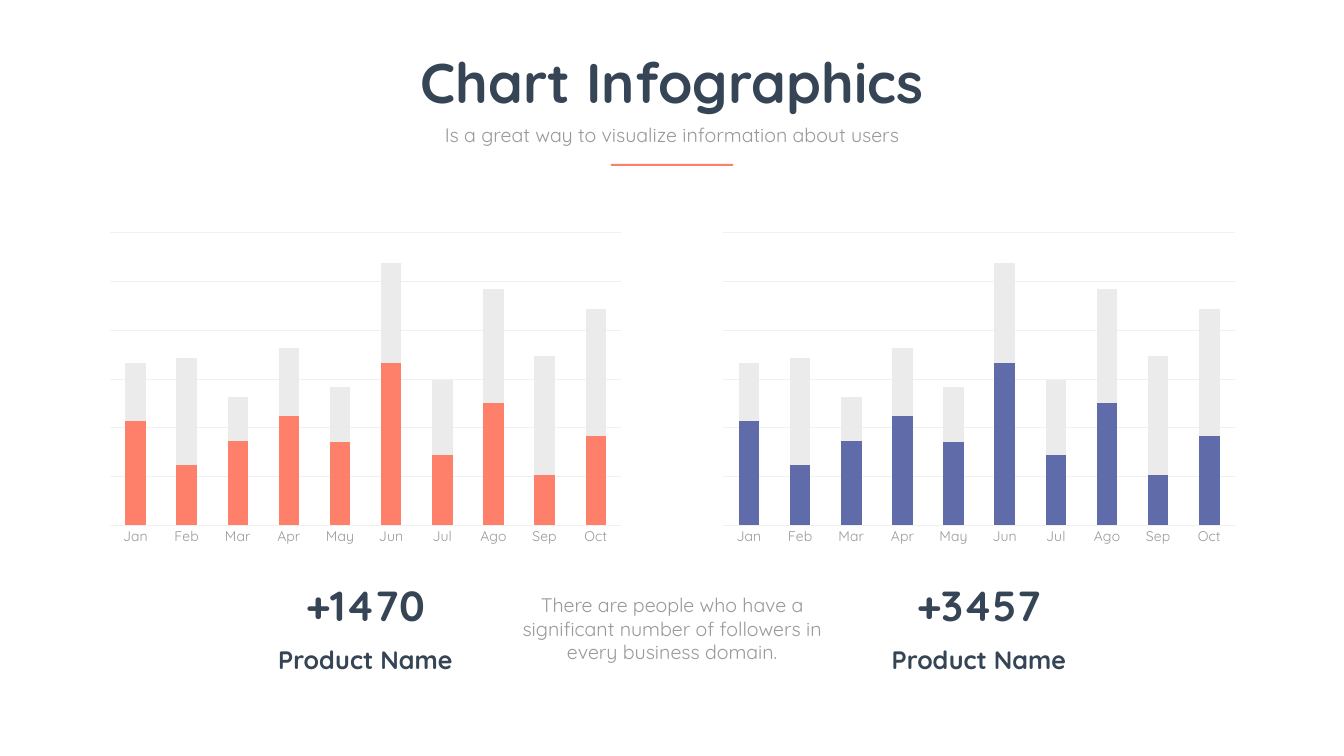
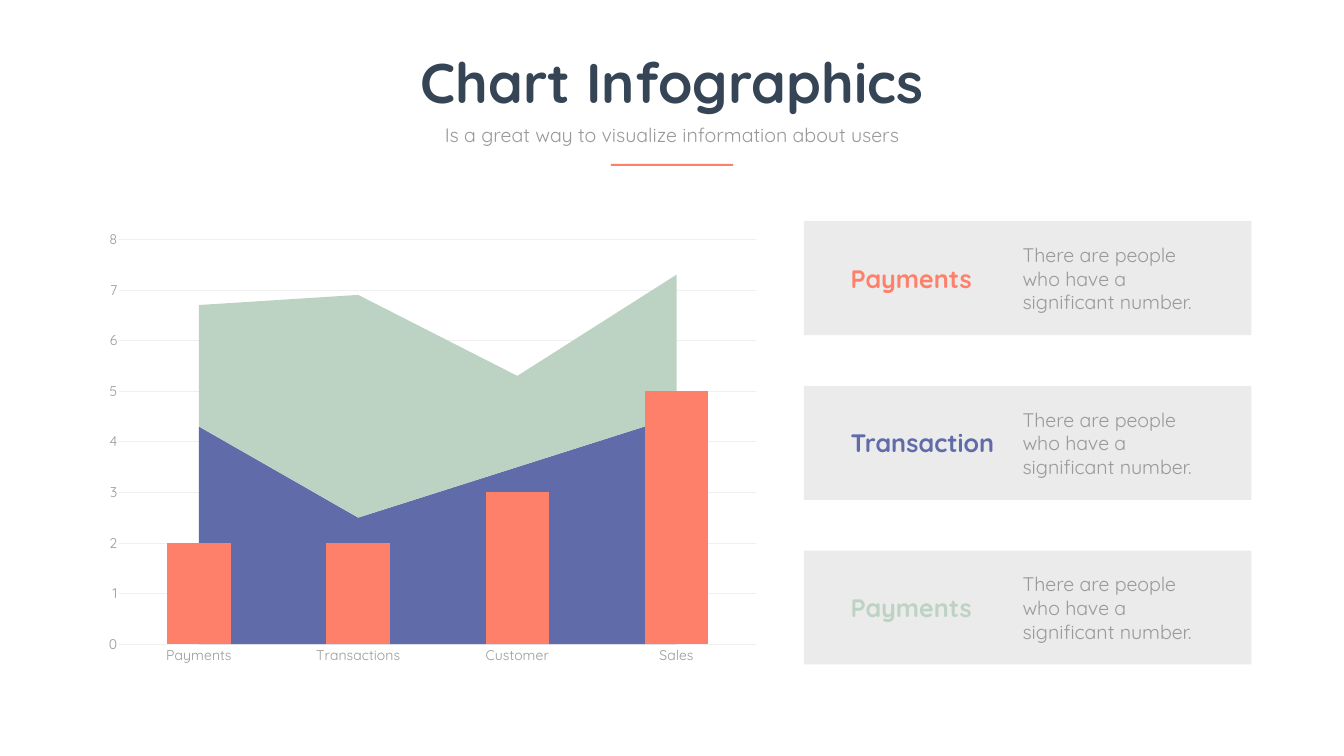
"""Build two chart infographic slides."""
from dataclasses import dataclass

from pptx import Presentation
from pptx import util as u
from pptx.chart.data import CategoryChartData
from pptx.dml.color import RGBColor
from pptx.enum import chart as ch, shapes, text
from pptx.oxml import parse_xml
from pptx.oxml.ns import nsdecls, qn


@dataclass(frozen=True)
class Theme:
    """Colours, font and type sizes shared by the slides."""
    font: str = "Quicksand"
    dark: str = "364556"
    grey: str = "999999"
    grid: str = "F0F0F0"
    panel: str = "EBEBEB"
    coral: str = "FF806A"
    indigo: str = "5F6CA9"
    sage: str = "BCD3C3"
    title: int = 80
    figure: int = 60
    heading: int = 36
    body: int = 28
    axis: int = 20


T = Theme()
MONTHS = ["Jan", "Feb", "Mar", "Apr", "May", "Jun", "Jul", "Ago", "Sep", "Oct"]
MONTHLY = [
    ("Series 1", [64, 37, 52, 67, 51, 100, 43, 75, 31, 55]),
    ("Series 2", [36, 66, 27, 42, 34, 61, 46, 70, 73, 78]),
]
STAGES = ["Payments", "Transactions", "Customer", "Sales"]
STAGE_SERIES = [
    ("Series 1", [4.3, 2.5, 3.5, 4.5]),
    ("Series 2", [2.4, 4.4, 1.8, 2.8]),
    ("Series 3", [2, 2, 3, 5]),
]


def rgb(color):
    """Return the colour object for a hex string."""
    return RGBColor.from_string(color)


def cm(*lengths):
    """Turn numbers into centimetre lengths."""
    return [u.Cm(n) for n in lengths]


def add_rect(s, box, color):
    """Draw a plain filled rectangle."""
    sp = s.shapes.add_shape(shapes.MSO_SHAPE.RECTANGLE, *cm(*box))
    sp.shadow.inherit = False
    sp.fill.solid()
    sp.fill.fore_color.rgb = rgb(color)
    sp.line.fill.background()


def add_text(s, box, words, size, color, bold=False, center=True, middle=False):
    """Place one wrapped paragraph in a text box."""
    tf = s.shapes.add_textbox(*cm(*box)).text_frame
    tf.word_wrap = True
    if middle:
        tf.vertical_anchor = text.MSO_ANCHOR.MIDDLE
        tf.margin_left = tf.margin_right = u.Cm(0.15)
        tf.margin_top = tf.margin_bottom = u.Cm(0.15)
    p = tf.paragraphs[0]
    p.alignment = text.PP_ALIGN.CENTER if center else text.PP_ALIGN.LEFT
    r = p.add_run()
    r.text = words
    r.font.name, r.font.size, r.font.bold = T.font, u.Pt(size), bold
    r.font.color.rgb = rgb(color)


def add_header(s):
    """Add the title, subtitle and accent rule."""
    add_text(s, (17.48, 2.29, 32.79, 3.68), "Chart Infographics", T.title, T.dark, bold=True)
    add_text(s, (21.72, 6.05, 24.28, 1.45),
             "Is a great way to visualize information about users", T.body, T.grey)
    add_rect(s, (30.78, 8.26, 6.17, 0.1), T.coral)


def set_plot_area(chart, x, y, w, h):
    """Fix the inner plot area as fractions of the chart."""
    area = chart._chartSpace.chart.plotArea
    for old in area.findall(qn("c:layout")):
        area.remove(old)
    sizes = "".join(f'<c:{k} val="{v}"/>' for k, v in zip("xywh", (x, y, w, h)))
    area.insert(0, parse_xml(
        f'<c:layout {nsdecls("c")}><c:manualLayout><c:layoutTarget val="inner"/>'
        f'<c:xMode val="edge"/><c:yMode val="edge"/>{sizes}</c:manualLayout></c:layout>'))


def add_chart(s, kind, box, cats, series, top, step):
    """Add a chart with the shared axis and grid style."""
    data = CategoryChartData()
    data.categories = cats
    for name, values in series:
        data.add_series(name, values)
    chart = s.shapes.add_chart(kind, *cm(*box), data).chart
    chart.has_legend = chart.has_title = False
    chart.font.name, chart.font.size = T.font, u.Pt(T.axis)
    chart.font.color.rgb = rgb(T.grey)
    cat, val = chart.category_axis, chart.value_axis
    for axis in (cat, val):
        axis.major_tick_mark = axis.minor_tick_mark = ch.XL_TICK_MARK.NONE
    cat.has_major_gridlines = False
    val.has_major_gridlines = True
    for line in (cat.format.line, val.major_gridlines.format.line):
        line.color.rgb = rgb(T.grid)
        line.width = u.Pt(0.75)
    val.format.line.fill.background()
    val.minimum_scale, val.maximum_scale, val.major_unit = 0, top, step
    return chart


def paint(chart, colors):
    """Colour the series in order."""
    for plot in chart.plots:
        plot.vary_by_categories = False
    series = [ser for plot in chart.plots for ser in plot.series]
    for ser, color in zip(series, colors):
        ser.format.fill.solid()
        ser.format.fill.fore_color.rgb = rgb(color)
        ser.format.line.fill.background()


def last_series_to_columns(chart):
    """Turn the last area series into columns on the same axes."""
    area = chart._chartSpace.chart.plotArea
    areas = area.find(qn("c:areaChart"))
    bars = parse_xml(
        f'<c:barChart {nsdecls("c")}><c:barDir val="col"/><c:grouping val="clustered"/>'
        '<c:varyColors val="0"/><c:gapWidth val="150"/></c:barChart>')
    bars.insert(3, areas.findall(qn("c:ser"))[-1])
    for axis_id in areas.findall(qn("c:axId")):
        bars.append(parse_xml(f'<c:axId {nsdecls("c")} val="{axis_id.get("val")}"/>'))
    areas.addnext(bars)
    area.find(qn("c:valAx")).find(qn("c:crossBetween")).set("val", "between")


def add_product(s, left, color, figure):
    """Add a monthly chart with its figure and product name."""
    chart = add_chart(s, ch.XL_CHART_TYPE.COLUMN_STACKED, (left, 11.38, 26.85, 16.41),
                      MONTHS, MONTHLY, 180, 30)
    chart.value_axis.visible = False
    chart.plots[0].gap_width, chart.plots[0].overlap = 150, 100
    set_plot_area(chart, 0.02, 0.02, 0.96, 0.9)
    paint(chart, [color, T.panel])
    add_text(s, (left + 5.41, 29.06, 16, 2.84), figure, T.figure, T.dark, bold=True, middle=True)
    add_text(s, (left + 5.41, 32.33, 16, 1.8), "Product Name", T.heading, T.dark, bold=True)


def add_card(s, top, name, color):
    """Add a panel with a coloured name and a short note."""
    add_rect(s, (40.51, top, 22.56, 5.74), T.panel)
    add_text(s, (51.28, top + 0.97, 10.21, 3.84),
             "There are people who have a significant number.", T.body, T.grey, center=False)
    add_text(s, (42.62, top + 1.98, 8.69, 1.8), name, T.heading, color, bold=True, center=False)


def products_slide(s):
    """Compare two products by month."""
    add_product(s, 5, T.coral, "+1470")
    add_product(s, 35.92, T.indigo, "+3457")
    add_text(s, (25.22, 29.77, 17.3, 3.84),
             "There are people who have a significant number of followers in every business domain.",
             T.body, T.grey)
    add_header(s)


def stages_slide(s):
    """Show the combined chart beside three cards."""
    chart = add_chart(s, ch.XL_CHART_TYPE.AREA_STACKED, (4.65, 11.15, 34.14, 22.68),
                      STAGES, STAGE_SERIES, 8, 1)
    last_series_to_columns(chart)
    set_plot_area(chart, 0.04, 0.04, 0.94, 0.9)
    paint(chart, [T.indigo, T.sage, T.coral])
    cards = [("Payments", T.coral), ("Transaction", T.indigo), ("Payments", T.sage)]
    for i, (name, color) in enumerate(cards):
        add_card(s, 11.15 + 8.3 * i, name, color)
    add_header(s)


def main():
    """Build and save the presentation."""
    prs = Presentation()
    prs.slide_width, prs.slide_height = cm(67.73, 38.1)
    for build in (products_slide, stages_slide):
        build(prs.slides.add_slide(prs.slide_layouts[6]))
    prs.save("out.pptx")


if __name__ == "__main__":
    main()
